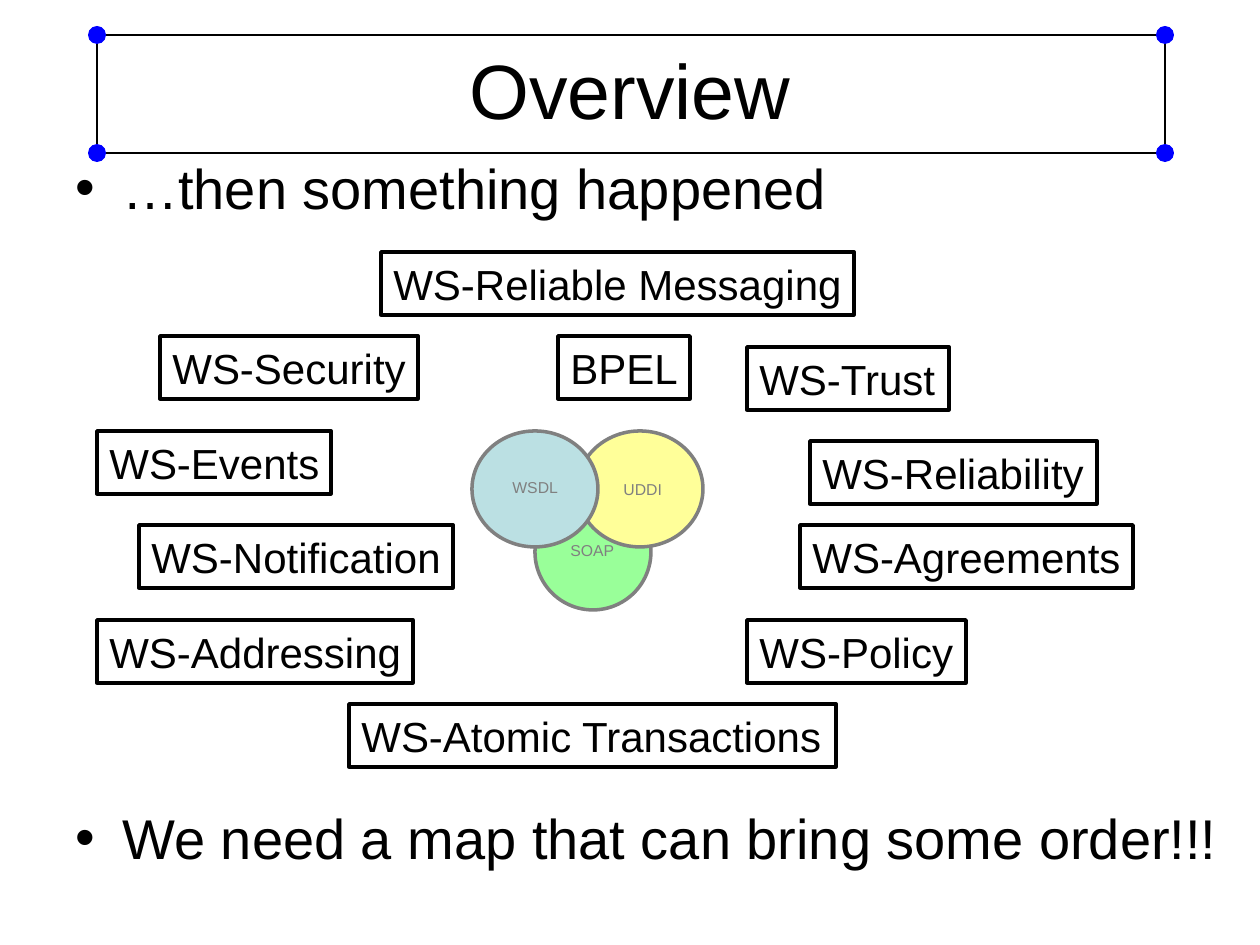
import pptx
import pptx.dml.color
import pptx.enum.shapes
import pptx.enum.text
import pptx.oxml
import pptx.oxml.ns
import pptx.util

EMU_PER_PX = 914400 / 126
FONT = "Arial"
COLORS = {
    "ink": "000000",
    "handle": "0000FF",
    "outline": "808080",
    "soap": "99FF99",
    "uddi": "FFFF99",
    "wsdl": "BBE0E3",
}
SHAPE = pptx.enum.shapes.MSO_SHAPE
ALIGN = pptx.enum.text.PP_ALIGN
ANCHOR = pptx.enum.text.MSO_ANCHOR

FRAME = (97, 35, 1068, 118)
HANDLE_SIZE = 18
LABEL_HEIGHT = 63
# name, left, top, width
STANDARDS = [
    ("WS-Security", 160, 336, 258),
    ("WS-Events", 97, 431, 234),
    ("WS-Notification", 139, 525, 314),
    ("WS-Policy", 747, 620, 219),
    ("WS-Trust", 747, 347, 202),
    ("WS-Atomic Transactions", 349, 704, 487),
    ("WS-Agreements", 800, 525, 333),
    ("WS-Reliability", 810, 441, 287),
    ("WS-Addressing", 97, 620, 316),
    ("WS-Reliable Messaging", 381, 252, 473),
    ("BPEL", 558, 336, 132),
]
# name, color, circle box, caption box
CORE = [
    ("SOAP", "soap", (535, 494, 116, 116), (558, 535, 80, 32)),
    ("UDDI", "uddi", (577, 431, 126, 116), (611, 474, 80, 32)),
    ("WSDL", "wsdl", (472, 431, 126, 116), (500, 472, 80, 32)),
]


def px(value):
    return pptx.util.Emu(round(value * EMU_PER_PX))


def rgb(name):
    return pptx.dml.color.RGBColor.from_string(COLORS[name])


def add_outline(shapes, kind, box, fill=None, line=None, line_width=2):
    shape = shapes.add_shape(kind, *map(px, box))
    shape.shadow.inherit = False
    if fill:
        shape.fill.solid()
        shape.fill.fore_color.rgb = rgb(fill)
    else:
        shape.fill.background()
    if line:
        shape.line.color.rgb = rgb(line)
        shape.line.width = pptx.util.Pt(line_width)
    else:
        shape.line.fill.background()
    return shape


def write_text(shape, text, size, color="ink", align=ALIGN.LEFT,
               anchor=ANCHOR.TOP, wrap=False):
    text_frame = shape.text_frame
    text_frame.text = text
    text_frame.word_wrap = wrap
    text_frame.vertical_anchor = anchor
    for paragraph in text_frame.paragraphs:
        paragraph.alignment = align
        for run in paragraph.runs:
            run.font.name = FONT
            run.font.size = pptx.util.Pt(size)
            run.font.color.rgb = rgb(color)


def add_bullet(paragraph, indent):
    properties = paragraph._p.get_or_add_pPr()
    properties.set("marL", str(px(indent)))
    properties.set("indent", str(-px(indent)))
    namespace = pptx.oxml.ns.nsdecls("a")
    properties.append(pptx.oxml.parse_xml(f'<a:buFont {namespace} typeface="{FONT}"/>'))
    properties.append(pptx.oxml.parse_xml(f'<a:buChar {namespace} char="•"/>'))


def add_title(slide):
    """Framed title with a round handle on each corner."""
    add_outline(slide.shapes, SHAPE.RECTANGLE, FRAME, line="ink", line_width=1.25)
    left, top, width, height = FRAME
    for x in (left, left + width):
        for y in (top, top + height):
            corner = (x - HANDLE_SIZE / 2, y - HANDLE_SIZE / 2)
            add_outline(slide.shapes, SHAPE.OVAL,
                        (*corner, HANDLE_SIZE, HANDLE_SIZE), fill="handle")
    title = slide.shapes.add_textbox(px(63), px(10), px(1134), px(157))
    write_text(title, "Overview", 44, align=ALIGN.CENTER,
               anchor=ANCHOR.MIDDLE, wrap=True)


def add_body(slide):
    """Two bullets, spaced apart to leave room for the diagram."""
    body = slide.shapes.add_textbox(px(63), px(147), px(1197), px(735))
    write_text(body, "…then something happened\n"
               "We need a map that can bring some order!!!", 32, wrap=True)
    for paragraph in body.text_frame.paragraphs:
        add_bullet(paragraph, 47)
    body.text_frame.paragraphs[1].space_before = pptx.util.Pt(333)


def add_core(slide):
    """Overlapping circles of the three base standards."""
    group = slide.shapes.add_group_shape()
    for name, color, circle_box, caption_box in CORE:
        add_outline(group.shapes, SHAPE.OVAL, circle_box, fill=color, line="outline")
        caption = group.shapes.add_textbox(*map(px, caption_box))
        write_text(caption, name, 9, color="outline")


def add_standard(slide, name, left, top, width):
    label = add_outline(slide.shapes, SHAPE.RECTANGLE,
                        (left, top, width, LABEL_HEIGHT), line="ink")
    write_text(label, name, 24)


def main():
    presentation = pptx.Presentation()
    presentation.slide_width = px(1260)
    presentation.slide_height = px(945)
    slide = presentation.slides.add_slide(presentation.slide_layouts[6])
    add_title(slide)
    add_body(slide)
    add_core(slide)
    for standard in STANDARDS:
        add_standard(slide, *standard)
    presentation.save("out.pptx")


if __name__ == "__main__":
    main()
